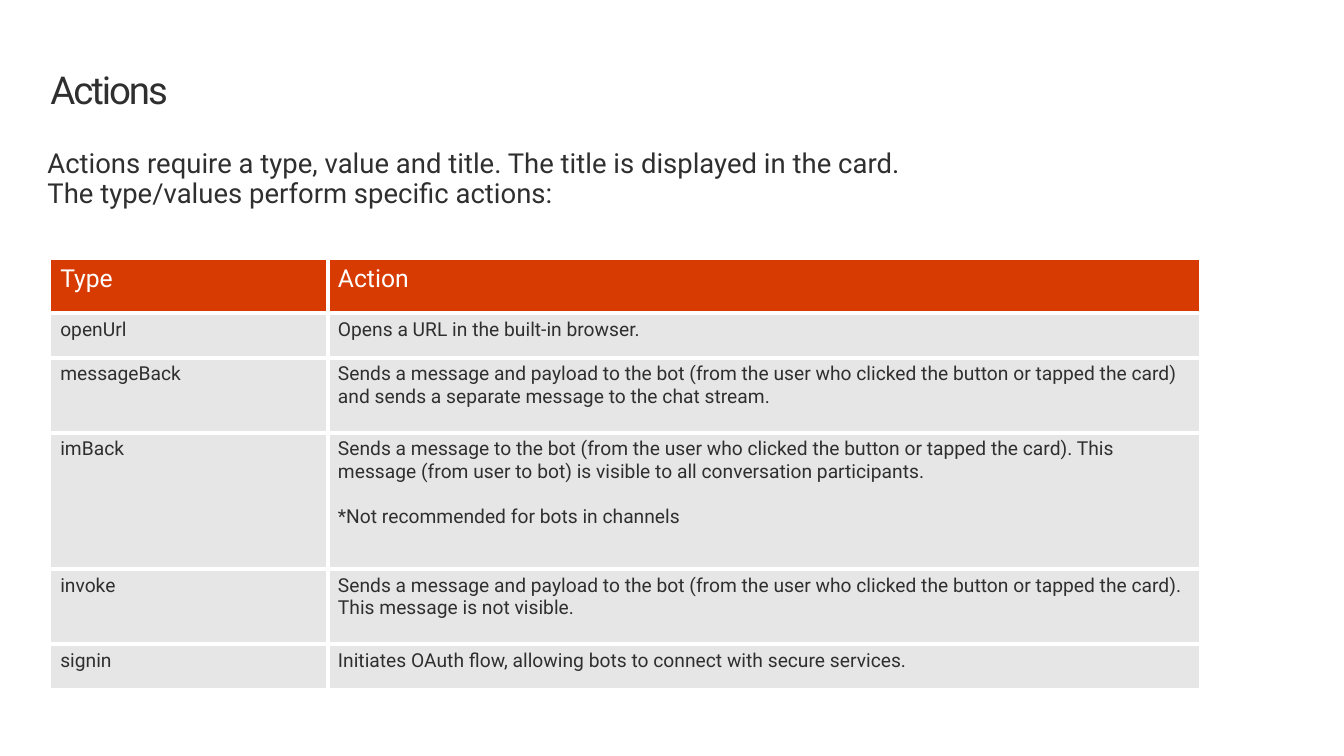
from lxml.etree import SubElement
from pptx import Presentation
from pptx.dml.color import RGBColor
from pptx.oxml.ns import qn
from pptx.util import Inches, Pt

INK = RGBColor(0x2F, 0x2F, 0x2F)
WHITE = RGBColor(0xFF, 0xFF, 0xFF)
RED = RGBColor(0xD8, 0x3B, 0x01)
GREY = RGBColor(0xE6, 0xE6, 0xE6)

WIDTHS = [2.81, 8.82]
HEIGHTS = [0.54, 0.45, 0.76, 1.38, 0.76, 0.45]
ROWS = [
    ("Type", "Action"),
    ("openUrl", "Opens a URL in the built-in browser."),
    ("messageBack", "Sends a message and payload to the bot (from the user who clicked "
     "the button or tapped the card) and sends a separate message to the chat stream."),
    ("imBack", "Sends a message to the bot (from the user who clicked the button or "
     "tapped the card). This message (from user to bot) is visible to all conversation "
     "participants.\n*Not recommended for bots in channels"),
    ("invoke", "Sends a message and payload to the bot (from the user who clicked the "
     "button or tapped the card). This message is not visible."),
    ("signin", "Initiates OAuth flow, allowing bots to connect with secure services."),
]


def apply(item, form):
    for name, value in form.items():
        setattr(item, name, value)


def write(frame, text, size, color, gap=0):
    frame.text = text
    for i, para in enumerate(frame.paragraphs):
        if i:
            para.space_before = Pt(gap)
        for run in para.runs:
            apply(run.font, {"name": "Roboto", "size": Pt(size), "bold": False})
            run.font.color.rgb = color


def add_text(slide, box, text, size, pads, lead):
    frame = slide.shapes.add_textbox(*map(Inches, box)).text_frame
    side, top = map(Inches, pads)
    apply(frame, {"word_wrap": True, "margin_left": side, "margin_right": side,
                  "margin_top": top, "margin_bottom": top})
    write(frame, text, size, INK)
    frame.paragraphs[0].line_spacing = lead
    return frame


def add_edge(cell, side):
    line = SubElement(cell._tc.get_or_add_tcPr(), qn(f"a:ln{side}"), w=str(Pt(3)))
    fill = SubElement(line, qn("a:solidFill"))
    SubElement(fill, qn("a:srgbClr"), val=str(WHITE))


def add_grid(slide):
    rows, cols = len(HEIGHTS), len(WIDTHS)
    box = (0.51, 2.63, sum(WIDTHS), sum(HEIGHTS))
    table = slide.shapes.add_table(rows, cols, *map(Inches, box)).table
    apply(table, {"first_row": True, "horz_banding": False})
    for col, width in zip(table.columns, WIDTHS):
        col.width = Inches(width)
    for r, (row, height) in enumerate(zip(table.rows, HEIGHTS)):
        row.height = Inches(height)
        size, color, back = (14, INK, GREY) if r else (18, WHITE, RED)
        for c, cell in enumerate(row.cells):
            inner = {"L": c > 0, "R": c < cols - 1, "T": r > 0, "B": r < rows - 1}
            for side, shown in inner.items():
                if shown:
                    add_edge(cell, side)
            cell.fill.solid()
            cell.fill.fore_color.rgb = back
            write(cell.text_frame, ROWS[r][c], size, color, 16.4)


def main():
    deck = Presentation()
    apply(deck, {"slide_width": Inches(13.6), "slide_height": Inches(7.65)})
    slide = deck.slides.add_slide(deck.slide_layouts[6])
    title = add_text(slide, (0.51, 0.69, 12.61, 0.45), "Actions", 28, (0, 0), Pt(32))
    title.paragraphs[0].runs[0]._r.get_or_add_rPr().set("spc", "-150")
    add_grid(slide)
    add_text(slide, (0.32, 1.42, 9.16, 0.81),
             "Actions require a type, value and title. The title is displayed in the card. "
             "The type/values perform specific actions:", 20, (0.16, 0.1), 0.9)
    deck.save("out.pptx")


if __name__ == "__main__":
    main()
